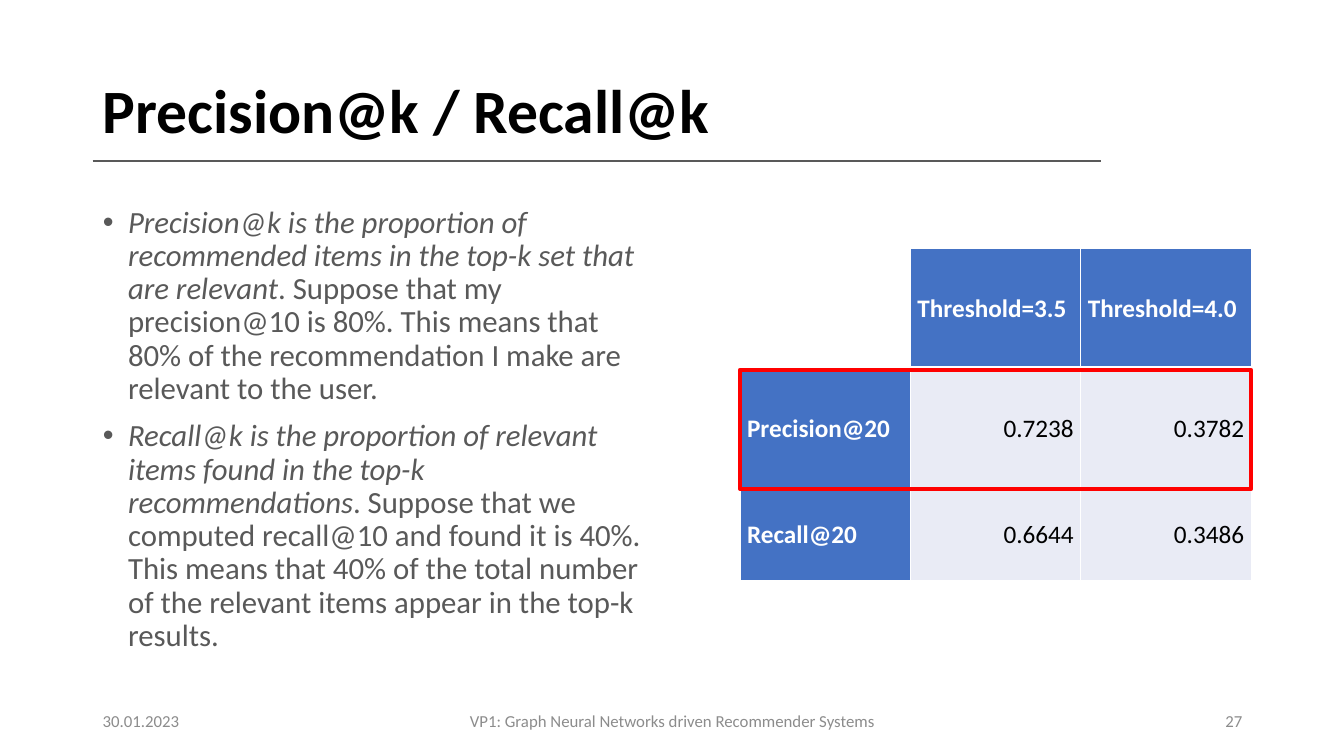
from lxml import etree
from pptx import Presentation
from pptx import util as u
from pptx.dml.color import RGBColor
from pptx.enum import shapes, text
from pptx.oxml import ns

HUES = {"black": "000000", "white": "FFFFFF", "gray": "595959", "pale": "8C8C8C",
        "blue": "4472C4", "light": "E9EBF5", "red": "FF0000"}
ALIGN = text.PP_ALIGN


def style(para, size, hue, bold=False, align=ALIGN.LEFT):
    font = para.font
    font.name, font.size, font.bold = "Calibri", u.Pt(size), bold
    font.color.rgb = RGBColor.from_string(HUES[hue])
    para.alignment = align


def add_node(parent, tag, **attrs):
    return etree.SubElement(parent, ns.qn(tag), attrs)


deck = Presentation()
deck.slide_width, deck.slide_height = u.Inches(13.33), u.Inches(7.5)
slide = deck.slides.add_slide(deck.slide_layouts[1])
items = slide.shapes

# Title and rule
rule = items.add_connector(shapes.MSO_CONNECTOR.STRAIGHT, u.Inches(0.92), u.Inches(1.6),
                           u.Inches(10.92), u.Inches(1.6))
rule.line.color.rgb = RGBColor.from_string(HUES["gray"])
rule.line.width = u.Pt(1.25)
add_node(rule._element.spPr, "a:effectLst")

title, body = items.title, slide.placeholders[1]
title.left, title.top = u.Inches(0.92), u.Inches(0.4)
title.width, title.height = u.Inches(9.51), u.Inches(1.45)
title.text_frame.text = "Precision@k / Recall@k"
title.text_frame.auto_size = text.MSO_AUTO_SIZE.NONE
title.text_frame.vertical_anchor = text.MSO_ANCHOR.MIDDLE
head = title.text_frame.paragraphs[0]
style(head, 44, "black", bold=True)
head.line_spacing = 0.9

# Definitions
body.left, body.top = u.Inches(0.92), u.Inches(2)
body.width, body.height = u.Inches(5.67), u.Inches(4.76)
frame = body.text_frame
frame.auto_size = text.MSO_AUTO_SIZE.NONE
terms = [
    ("Precision@k is the proportion of recommended items in the top-k set that are relevant",
     ". Suppose that my precision@10 is 80%. This means that 80% of the recommendation "
     "I make are relevant to the user."),
    ("Recall@k is the proportion of relevant items found in the top-k recommendations",
     ". Suppose that we computed recall@10 and found it is 40%. This means that 40% of the "
     "total number of the relevant items appear in the top-k results."),
]
for i, (term, note) in enumerate(terms):
    para = frame.add_paragraph() if i else frame.paragraphs[0]
    style(para, 22, "gray")
    para.line_spacing, para.space_before = 0.9, u.Pt(10)
    props = para._p.get_or_add_pPr()
    props.set("marL", str(u.Inches(0.25)))
    props.set("indent", str(-u.Inches(0.25)))
    lead = para.add_run()
    lead.text, lead.font.italic = term, True
    para.add_run().text = note

# Scores
rows = [("", "Threshold=3.5", "Threshold=4.0"),
        ("Precision@20", "0.7238", "0.3782"),
        ("Recall@20", "0.6644", "0.3486")]
table = items.add_table(3, 3, u.Inches(7.34), u.Inches(2.46),
                        u.Inches(5.07), u.Inches(3.3)).table
for col in table.columns:
    col.width = u.Inches(1.69)
for row, high in zip(table.rows, (1.19, 1.19, 0.92)):
    row.height = u.Inches(high)
for r, row in enumerate(rows):
    for c, label in enumerate(row):
        cell = table.cell(r, c)
        label_cell = r == 0 or c == 0
        cell.text = label
        cell.vertical_anchor = text.MSO_ANCHOR.MIDDLE
        cell.margin_left = cell.margin_right = u.Inches(0.07)
        cell.margin_top = cell.margin_bottom = 0
        para = cell.text_frame.paragraphs[0]
        style(para, 18, "white" if label_cell else "black", label_cell,
              ALIGN.JUSTIFY if label_cell else ALIGN.RIGHT)
        para.line_spacing, para.space_after = 1.07, u.Pt(8)
        for side in "LRTB":
            thick = (r, side) in ((0, "B"), (1, "T"))
            edge = add_node(cell._tc.get_or_add_tcPr(), "a:ln" + side,
                            w=str(u.Pt(3 if thick else 1)))
            add_node(add_node(edge, "a:solidFill"), "a:srgbClr", val=HUES["white"])
        if label:
            cell.fill.solid()
            cell.fill.fore_color.rgb = RGBColor.from_string(
                HUES["blue" if label_cell else "light"])
        else:
            cell.fill.background()

# Footer
for left, width, label, align in [
        (0.92, 3, "30.01.2023", ALIGN.LEFT),
        (4.42, 4.5, "VP1: Graph Neural Networks driven Recommender Systems", ALIGN.CENTER),
        (9.42, 3, "27", ALIGN.RIGHT)]:
    box = items.add_textbox(u.Inches(left), u.Inches(6.95), u.Inches(width), u.Inches(0.4))
    box.text_frame.word_wrap = True
    box.text_frame.vertical_anchor = text.MSO_ANCHOR.MIDDLE
    box.text_frame.text = label
    style(box.text_frame.paragraphs[0], 12, "pale", align=align)

# Highlight on the precision row
mark = items.add_shape(shapes.MSO_SHAPE.RECTANGLE, u.Inches(7.34), u.Inches(3.67),
                       u.Inches(5.07), u.Inches(1.18))
mark.shadow.inherit = False
mark.fill.background()
mark.line.color.rgb = RGBColor.from_string(HUES["red"])
mark.line.width = u.Pt(3)

deck.save("out.pptx")
